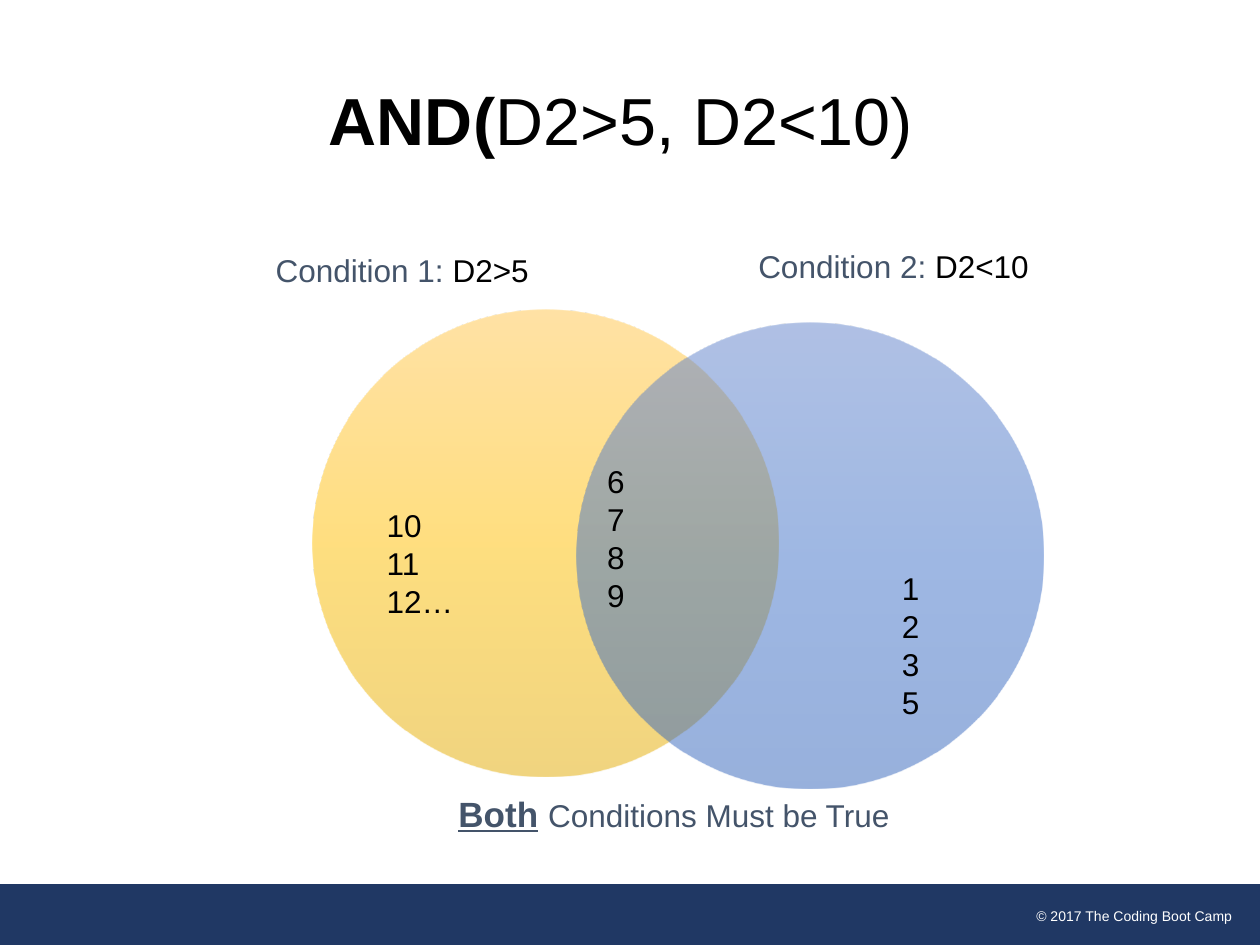
from dataclasses import dataclass

from lxml import etree
from pptx import Presentation, util as u
from pptx.dml.color import RGBColor
from pptx.enum import shapes, text
from pptx.oxml.ns import qn


@dataclass(frozen=True)
class Theme:
    font: str = "Arial"
    ink: str = "000000"
    slate: str = "44546A"
    navy: str = "203864"
    white: str = "FFFFFF"
    gold: tuple = ("FFC64B", "FFC000", "E3AB00")
    blue: tuple = ("6183CB", "3E70CA", "3062BB")
    title: int = 38
    strong: int = 20
    body: int = 18
    small: int = 8


class SlideBuilder:
    """Draws on one page, measured in a grid of 100 columns by 75 rows."""

    COLUMNS, ROWS = 100, 75

    def __init__(self, deck, theme):
        self.deck, self.theme = deck, theme
        self.page = deck.slides.add_slide(deck.slide_layouts[6])

    def place(self, left, top, width, height):
        column = self.deck.slide_width / self.COLUMNS
        row = self.deck.slide_height / self.ROWS
        return [u.Emu(round(n)) for n in
                (left * column, top * row, width * column, height * row)]

    def shape(self, kind, *area):
        shape = self.page.shapes.add_shape(kind, *self.place(*area))
        shape.shadow.inherit = False
        shape.line.fill.background()
        return shape

    def band(self, *area):
        band = self.shape(shapes.MSO_SHAPE.FLOWCHART_PROCESS, *area)
        band.fill.solid()
        band.fill.fore_color.rgb = RGBColor.from_string(self.theme.navy)

    def circle(self, left, top, size, colors):
        """A half-transparent circle, shaded from top to bottom."""
        circle = self.shape(shapes.MSO_SHAPE.OVAL, left, top, size, size)
        circle.fill.gradient()
        gradient = circle._element.spPr.find(qn("a:gradFill"))
        stops = gradient.find(qn("a:gsLst"))
        for stop in list(stops):
            stops.remove(stop)
        for index, color in enumerate(colors):
            stop = etree.SubElement(stops, qn("a:gs"), pos=str(index * 50000))
            paint = etree.SubElement(stop, qn("a:srgbClr"), val=color)
            etree.SubElement(paint, qn("a:alpha"), val="50000")
        gradient.find(qn("a:lin")).set("ang", "5400000")

    def span(self, para, words, color, **formats):
        span = para.add_run()
        span.text = words
        span.font.color.rgb = RGBColor.from_string(color)
        values = {"name": self.theme.font, "size": self.theme.body, **formats}
        values["size"] = u.Pt(values["size"])
        for name, value in values.items():
            setattr(span.font, name, value)

    def text(self, area, *lines, align=text.PP_ALIGN.LEFT, wrap=True):
        """Each line is a list of (words, color, formats) spans."""
        box = self.page.shapes.add_textbox(*self.place(*area))
        frame = box.text_frame
        frame.word_wrap = wrap
        frame.auto_size = text.MSO_AUTO_SIZE.SHAPE_TO_FIT_TEXT
        for index, line in enumerate(lines):
            para = frame.add_paragraph() if index else frame.paragraphs[0]
            para.alignment = align
            for words, color, formats in line:
                self.span(para, words, color, **formats)

    def condition(self, left, top, label, test):
        self.text((left, top, 31.7, 4),
                  [(label, self.theme.slate, {}), (test, self.theme.ink, {})])

    def numbers(self, area, values, wrap=True):
        self.text(area, *([(value, self.theme.ink, {})] for value in values),
                  wrap=wrap)


def main():
    deck = Presentation()
    deck.slide_width, deck.slide_height = u.Inches(10), u.Inches(7.5)
    theme = Theme()
    slide = SlideBuilder(deck, theme)

    slide.band(0, 70.2, 100.1, 5)
    slide.text((68.3, 71.5, 30.5, 2.4),
               [("© 2017 The Coding Boot Camp", theme.white, {"size": theme.small})],
               align=text.PP_ALIGN.RIGHT)

    slide.circle(24.8, 24.6, 37, theme.gold)
    slide.circle(45.8, 25.6, 37, theme.blue)

    strong = {"size": theme.strong, "bold": True}
    slide.text((35.4, 62.4, 45.8, 4.4),
               [("Both", theme.slate, {**strong, "underline": True}),
                (" ", theme.slate, strong),
                ("Conditions Must be True", theme.slate, {})])
    slide.condition(59.2, 19.1, "Condition 2: ", "D2<10")
    slide.condition(20.9, 19.4, "Condition 1: ", "D2>5")

    slide.text((24.9, 5.8, 48.8, 7.4),
               [("AND(", theme.ink, {"size": theme.title, "bold": True}),
                ("D2>5, D2<10)", theme.ink, {"size": theme.title})],
               align=text.PP_ALIGN.CENTER, wrap=False)

    slide.numbers((47.2, 36.2, 10.8, 13.1), "6789")
    slide.numbers((70.6, 44.7, 3.4, 16.2), "1235", wrap=False)
    slide.numbers((29.7, 39.7, 7.5, 10.1), ("10", "11", "12…"))

    deck.save("out.pptx")


if __name__ == "__main__":
    main()
